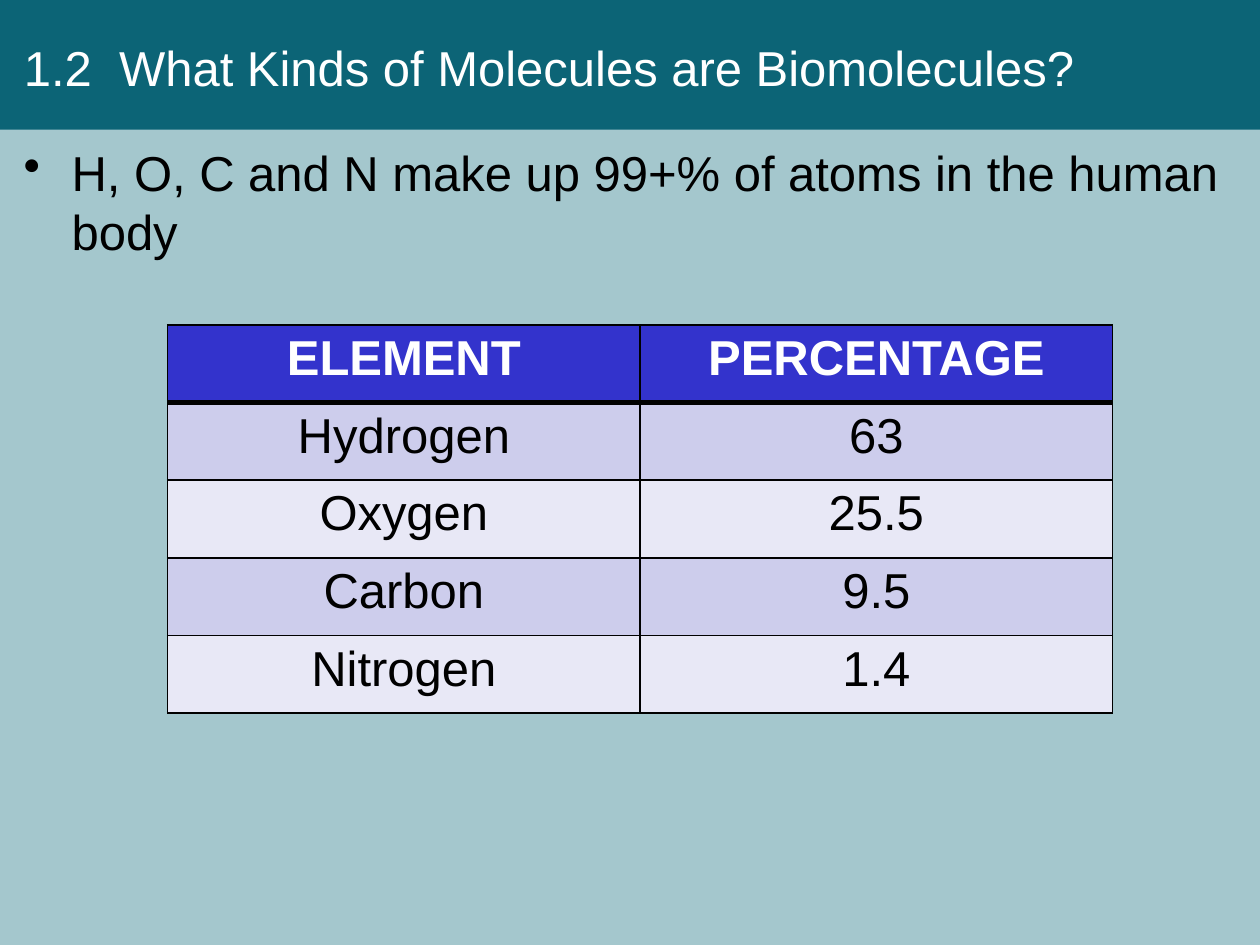
import pptx
import pptx.util
import pptx.dml.color
import pptx.enum.shapes
import pptx.enum.text
import pptx.oxml
import pptx.oxml.ns
from pptx.util import Inches

COLORS = {
    "background": "A4C7CD",
    "band": "0C6476",
    "header": "3333CC",
    "odd_row": "CDCDEC",
    "even_row": "E8E8F6",
    "white": "FFFFFF",
    "black": "000000",
}
ALIGN = pptx.enum.text.PP_ALIGN
ANCHOR = pptx.enum.text.MSO_ANCHOR


def paint(fill, color):
    fill.solid()
    fill.fore_color.rgb = pptx.dml.color.RGBColor.from_string(COLORS[color])


def write(frame, text, color="black", bold=False, align=ALIGN.LEFT, bullet=None):
    frame.word_wrap = True
    paragraph = frame.paragraphs[0]
    paragraph.text = text
    paragraph.alignment = align
    if bullet:
        properties = paragraph._p.get_or_add_pPr()
        properties.set("marL", str(Inches(0.38)))
        properties.set("indent", str(Inches(-0.38)))
        mark = pptx.oxml.parse_xml(
            f'<a:buChar {pptx.oxml.ns.nsdecls("a")} char="{bullet}"/>')
        properties.append(mark)
    font = paragraph.runs[0].font
    font.name = "Arial"
    font.size = pptx.util.Pt(28)
    font.bold = bold
    font.color.rgb = pptx.dml.color.RGBColor.from_string(COLORS[color])


deck = pptx.Presentation()
deck.slide_width, deck.slide_height = Inches(10), Inches(7.5)
slide = deck.slides.add_slide(deck.slide_layouts[5])
paint(slide.background.fill, "background")

# Title band, placed behind the title
band = slide.shapes.add_shape(
    pptx.enum.shapes.MSO_SHAPE.RECTANGLE, 0, 0, Inches(10), Inches(1.03))
band.shadow.inherit = False
paint(band.fill, "band")
band.line.fill.background()
slide.shapes._spTree.insert(2, band._element)

# Title
title = slide.shapes.title
title.left, title.top = Inches(0.09), Inches(0.08)
title.width, title.height = Inches(9.16), Inches(0.91)
title.text_frame.vertical_anchor = ANCHOR.MIDDLE
write(title.text_frame, "1.2  What Kinds of Molecules are Biomolecules?", color="white")

# Statement
statement = slide.shapes.add_textbox(
    Inches(0.09), Inches(1.08), Inches(9.74), Inches(6.27))
write(statement.text_frame, "H, O, C and N make up 99+% of atoms in the human body", bullet="•")

# Table of elements
composition = [
    ("ELEMENT", "PERCENTAGE"),
    ("Hydrogen", "63"),
    ("Oxygen", "25.5"),
    ("Carbon", "9.5"),
    ("Nitrogen", "1.4"),
]
elements = slide.shapes.add_table(
    len(composition), 2, Inches(1.33), Inches(2.58), Inches(7.5), Inches(3.08)).table

for row, values in enumerate(composition):
    is_header = row == 0
    row_color = "header" if is_header else "odd_row" if row % 2 else "even_row"
    for column, value in enumerate(values):
        cell = elements.cell(row, column)
        write(cell.text_frame, value, color="white" if is_header else "black",
              bold=is_header, align=ALIGN.CENTER)
        paint(cell.fill, row_color)

        # Borders go before the fill; the rule under the header is thicker
        widths = {"lnL": 1, "lnR": 1, "lnT": 3 if row == 1 else 1, "lnB": 3 if is_header else 1}
        for position, (side, points) in enumerate(widths.items()):
            border = pptx.oxml.parse_xml(
                f'<a:{side} {pptx.oxml.ns.nsdecls("a")} w="{pptx.util.Pt(points)}">'
                f'<a:solidFill><a:srgbClr val="{COLORS["black"]}"/></a:solidFill></a:{side}>')
            cell._tc.get_or_add_tcPr().insert(position, border)

deck.save("out.pptx")
